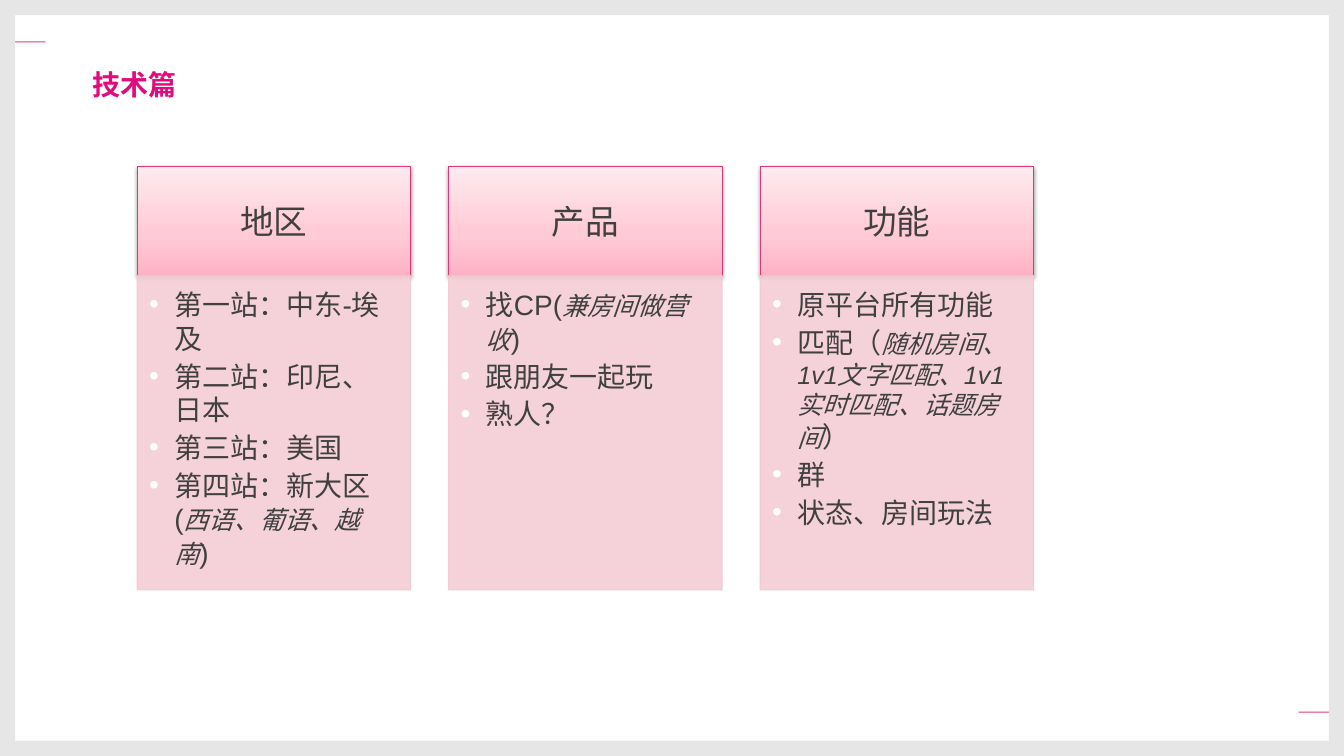
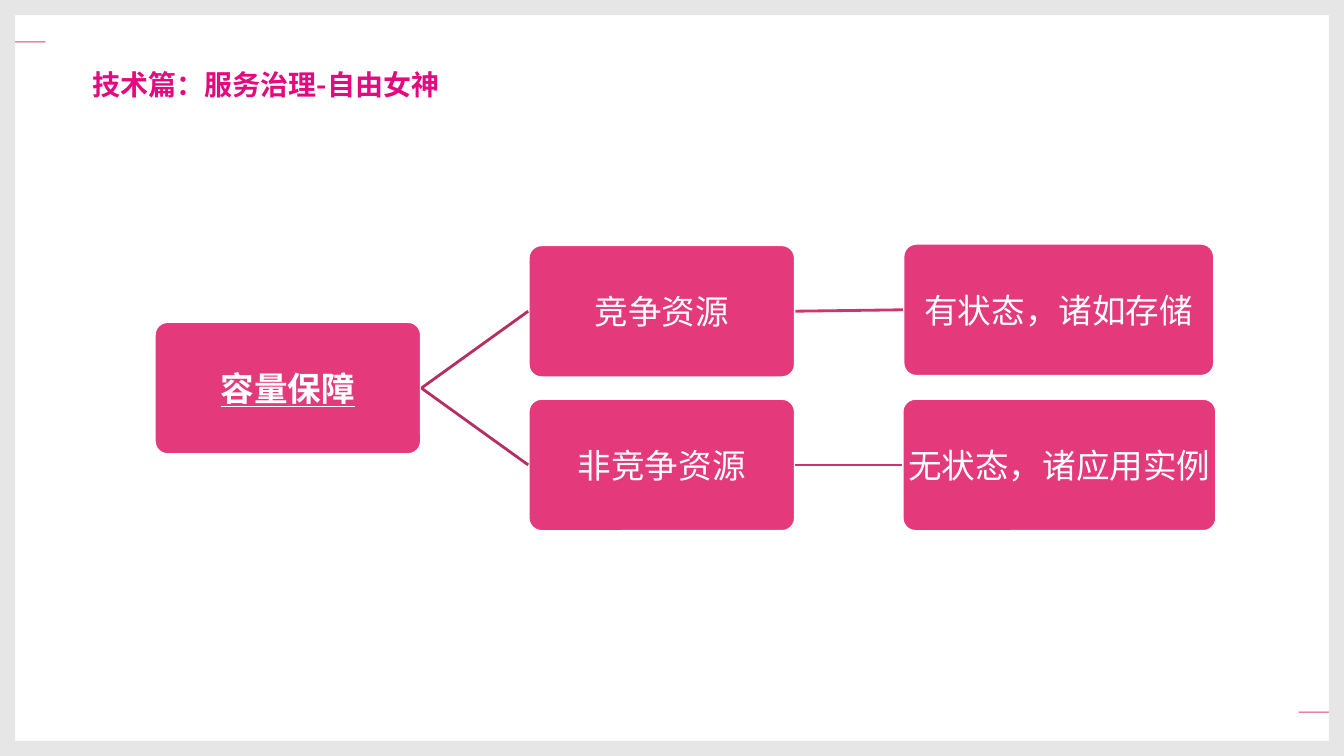
from lxml import etree
from pptx import Presentation
from pptx.dml.color import RGBColor
from pptx.enum.shapes import MSO_CONNECTOR, MSO_SHAPE
from pptx.enum.text import MSO_ANCHOR, MSO_AUTO_SIZE, PP_ALIGN
from pptx.oxml import parse_xml
from pptx.oxml.ns import nsdecls, qn
from pptx.util import Pt

WIDTH, HEIGHT = 960, 540
BAND = 10.8
PINK, TITLE_PINK, GREY, TEXT, WHITE = "E4397A", "E3097E", "E6E6E6", "404040", "FFFFFF"
BODY_FONT, TITLE_FONT = "Arial", "Noto Sans CJK SC"

COLUMNS = [
    ("地区", [
        [("第一站：中东-埃及", False)],
        [("第二站：印尼、日本", False)],
        [("第三站：美国", False)],
        [("第四站：新大区(", False), ("西语、葡语、越南", True), (")", False)],
    ]),
    ("产品", [
        [("找CP(", False), ("兼房间做营收", True), (")", False)],
        [("跟朋友一起玩", False)],
        [("熟人？", False)],
    ]),
    ("功能", [
        [("原平台所有功能", False)],
        [("匹配（", False), ("随机房间、1v1文字匹配、1v1实时匹配、话题房间", True), ("）", False)],
        [("群", False)],
        [("状态、房间玩法", False)],
    ]),
]


def rgb(value):
    return RGBColor.from_string(value)


def add_run(p, text, size, color, font=BODY_FONT, bold=False, italic=False, underline=False):
    r = p.add_run()
    r.text = text
    r.font.size, r.font.name = Pt(size), font
    r.font.bold, r.font.italic, r.font.underline = bold, italic, underline
    r.font.color.rgb = rgb(color)
    return r


def add_box(s, kind, left, top, width, height, fill, line=None, line_width=0.75):
    sp = s.shapes.add_shape(kind, Pt(left), Pt(top), Pt(width), Pt(height))
    sp.shadow.inherit = False
    sp.fill.solid()
    sp.fill.fore_color.rgb = rgb(fill)
    if line:
        sp.line.color.rgb = rgb(line)
        sp.line.width = Pt(line_width)
    else:
        sp.line.fill.background()
    return sp


def set_frame(sp, anchor, left, top, right, bottom):
    tf = sp.text_frame
    tf.word_wrap = True
    tf.vertical_anchor = anchor
    tf.margin_left, tf.margin_top = Pt(left), Pt(top)
    tf.margin_right, tf.margin_bottom = Pt(right), Pt(bottom)
    return tf


def center_text(sp, text, color, margin, **style):
    p = set_frame(sp, MSO_ANCHOR.MIDDLE, *[margin] * 4).paragraphs[0]
    p.alignment = PP_ALIGN.CENTER
    add_run(p, text, 24, color, **style)


def add_frame(s, layout):
    accent = (32.4, 0.72)
    parts = [
        (0, 29.5, *accent, PINK),
        (WIDTH - accent[0], 508.3, *accent, PINK),
        (0, 0, BAND, HEIGHT, GREY),
        (WIDTH - BAND, 0, BAND, HEIGHT, GREY),
        (0, 0, WIDTH, BAND, GREY),
        (0, HEIGHT - BAND, WIDTH, BAND, GREY),
    ]
    for part in parts:
        layout.shapes.element.append(add_box(s, MSO_SHAPE.RECTANGLE, *part).element)


def add_title(s, text):
    sp = s.shapes.title
    sp.left, sp.top, sp.width, sp.height = Pt(66), Pt(36.5), Pt(882), Pt(36)
    tf = set_frame(sp, MSO_ANCHOR.TOP, 0, 0, 0, 0)
    tf.auto_size = MSO_AUTO_SIZE.NONE
    p = tf.paragraphs[0]
    p.alignment = PP_ALIGN.LEFT
    p.line_spacing = 1.5
    r = add_run(p, text, 20, TITLE_PINK, TITLE_FONT, bold=True)
    etree.SubElement(r.font._element, qn("a:ea"), typeface=TITLE_FONT)


def set_gradient(sp, stops):
    gs = "".join(f'<a:gs pos="{pos * 1000}"><a:srgbClr val="{color}"/></a:gs>' for pos, color in stops)
    solid = sp.element.spPr.find(qn("a:solidFill"))
    solid.getparent().replace(solid, parse_xml(
        f'<a:gradFill {nsdecls("a")} rotWithShape="1"><a:gsLst>{gs}</a:gsLst>'
        '<a:lin ang="16200000" scaled="0"/></a:gradFill>'))


def set_shadow(sp):
    sp.element.spPr.find(qn("a:effectLst")).append(parse_xml(
        f'<a:outerShdw {nsdecls("a")} blurRad="{Pt(3.1)}" dist="{Pt(1.6)}" dir="5400000" rotWithShape="0">'
        '<a:srgbClr val="000000"><a:alpha val="38000"/></a:srgbClr></a:outerShdw>'))


def set_opacity(sp, percent):
    for color in sp.element.spPr.iter(qn("a:srgbClr")):
        etree.SubElement(color, qn("a:alpha"), val=str(percent * 1000))


def set_bullet(p, color):
    pPr = p._p.get_or_add_pPr()
    pPr.set("marL", str(Pt(18)))
    pPr.set("indent", str(-Pt(18)))
    bullet_color = etree.SubElement(pPr, qn("a:buClr"))
    etree.SubElement(bullet_color, qn("a:srgbClr"), val=color)
    etree.SubElement(pPr, qn("a:buFont"), typeface=BODY_FONT)
    etree.SubElement(pPr, qn("a:buChar"), char="•")


def add_column(s, left, heading, items):
    top, width, head_height, body_height = 118.8, 195.4, 78, 224.6
    head = add_box(s, MSO_SHAPE.RECTANGLE, left, top, width, head_height, PINK, "E33476")
    set_gradient(head, [(0, "FFB2C4"), (35, "FFC9D5"), (100, "FFEAEF")])
    set_shadow(head)
    center_text(head, heading, TEXT, 8)

    body = add_box(s, MSO_SHAPE.RECTANGLE, left, top + head_height, width, body_height, "F5CED7", "F1C9D2")
    set_opacity(body, 90)
    tf = set_frame(body, MSO_ANCHOR.TOP, 8.6, 8.6, 11.5, 12.2)
    for i, runs in enumerate(items):
        p = tf.add_paragraph() if i else tf.paragraphs[0]
        set_bullet(p, WHITE)
        p.alignment = PP_ALIGN.LEFT
        p.space_after = Pt(3)
        for text, italic in runs:
            add_run(p, text, 18 if italic else 20, TEXT, italic=italic)


def add_node(s, text, left, top, width=190.8, **style):
    sp = add_box(s, MSO_SHAPE.ROUNDED_RECTANGLE, left, top, width, 95, PINK, WHITE, 2)
    sp.adjustments[0] = 0.1
    center_text(sp, text, WHITE, 1.5, **style)
    return sp


def add_link(s, start, end, color):
    line = s.shapes.add_connector(MSO_CONNECTOR.STRAIGHT, 0, 0, 0, 0)
    line.begin_connect(start, 3)
    line.end_connect(end, 1)
    line.line.color.rgb = rgb(color)
    line.line.width = Pt(2)
    etree.SubElement(line.element.spPr, qn("a:effectLst"))


def add_columns(s):
    for i, (heading, items) in enumerate(COLUMNS):
        add_column(s, 97.9 + i * 222.5, heading, items)


def add_tree(s):
    root = add_node(s, "容量保障", 110.2, 229.7, bold=True, underline=True)
    branches = [
        (("竞争资源", 377.3, 174.8), ("有状态，诸如存储", 645, 173.8, 222.5)),
        (("非竞争资源", 377.3, 284.6), ("无状态，诸应用实例", 644.4, 284.6, 224.6)),
    ]
    for resource, example in branches:
        branch, leaf = add_node(s, *resource), add_node(s, *example)
        add_link(s, root, branch, "B72E62")
        add_link(s, branch, leaf, "CF346F")


def main():
    prs = Presentation()
    prs.slide_width, prs.slide_height = Pt(WIDTH), Pt(HEIGHT)
    layout = prs.slide_layouts[5]
    pages = [("技术篇", add_columns), ("技术篇：服务治理-自由女神", add_tree)]
    for i, (title, add_content) in enumerate(pages):
        s = prs.slides.add_slide(layout)
        if i == 0:
            add_frame(s, layout)
        add_title(s, title)
        add_content(s)
    prs.save("out.pptx")


if __name__ == "__main__":
    main()
